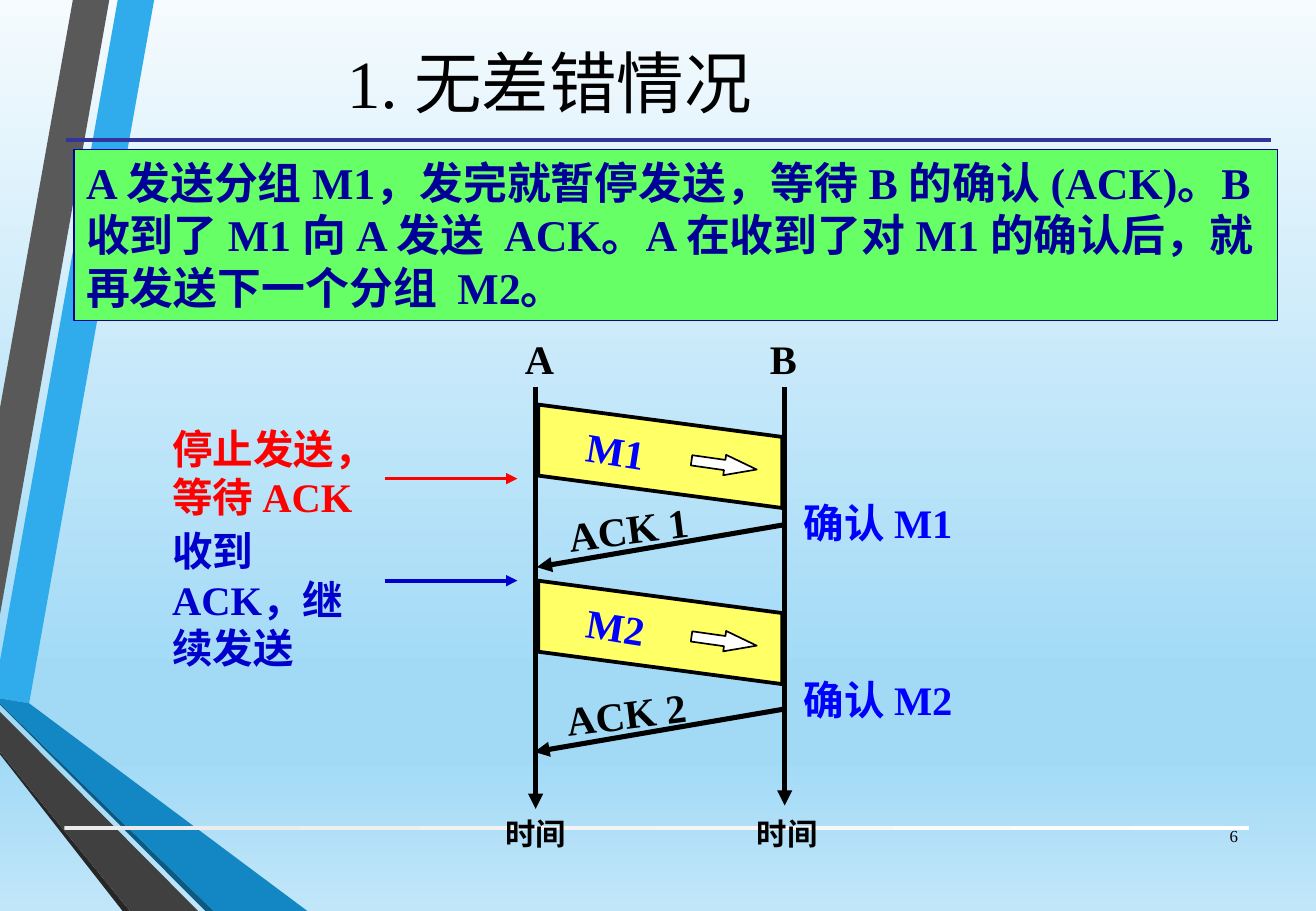
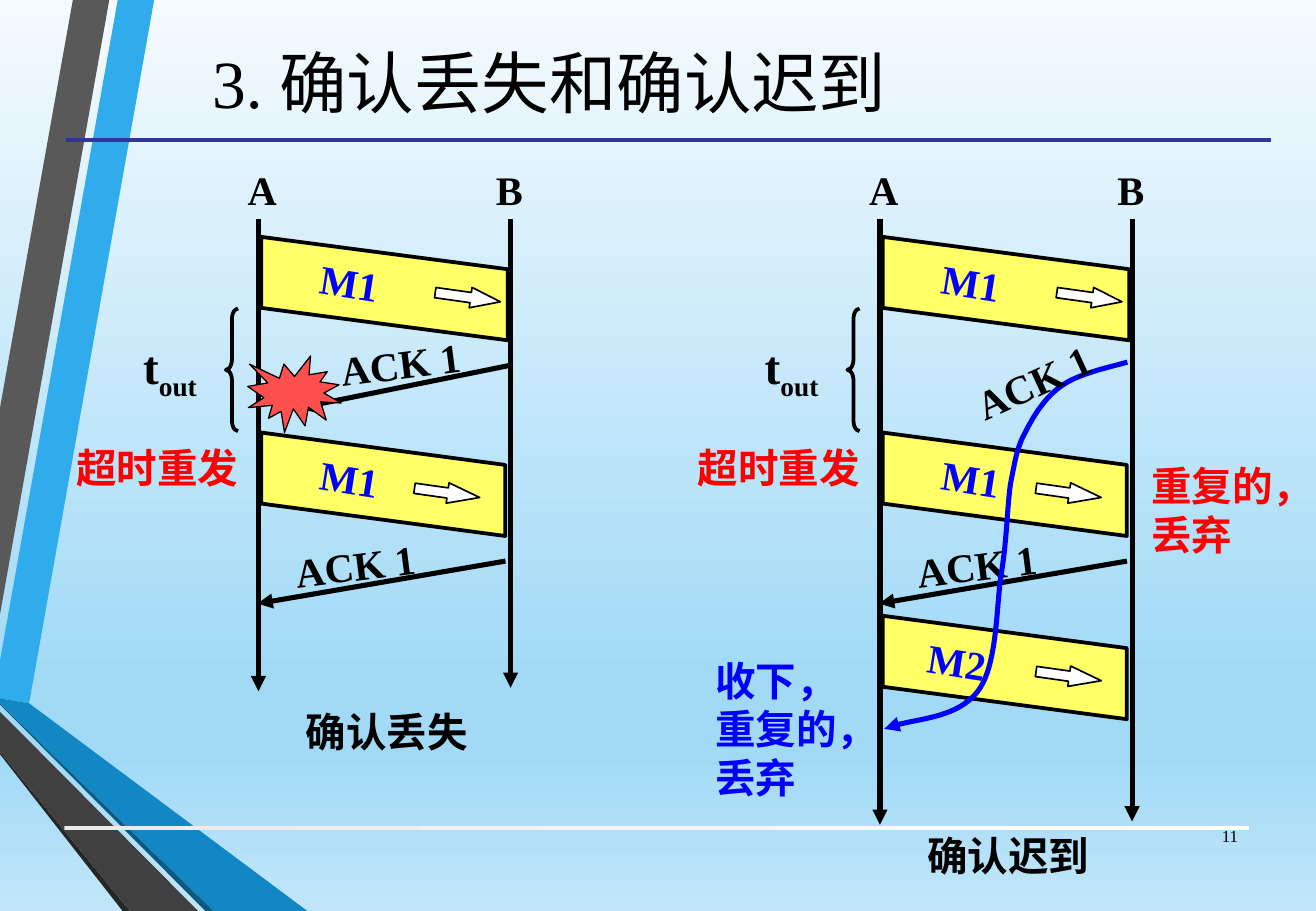
from lxml.etree import SubElement
from pptx import Presentation
from pptx.dml.color import RGBColor
from pptx.enum.shapes import MSO_CONNECTOR, MSO_SHAPE as Preset
from pptx.enum.text import MSO_ANCHOR as Anchor, MSO_AUTO_SIZE as AutoSize, PP_ALIGN as Align
from pptx.oxml.ns import qn
from pptx.util import Pt

FONT = "Times New Roman"
COLORS = {
    "black": "000000", "white": "FFFFFF", "blue": "0000FF", "mid blue": "0000CC",
    "navy": "000099", "rule": "333399", "red": "FF0000", "burst": "FF5050",
    "packet": "FFFF66", "note": "66FF66", "footer": "EBEBEB",
    "sky": "30ACEC", "gray": "595959", "dark": "262626",
    "deep": "0C5A82", "ocean": "1287C3", "slate": "404040",
}
BACKGROUND = [(0, "F5FBFE"), (74, "A2DAF6"), (83, "A2DAF6"), (100, "C1E6F9")]
RIBBONS = [
    ("sky", [(0, 391.7), (0, 414), (17.3, 416.9), (91.4, 0), (69.8, 0)]),
    ("gray", [(64.8, 0), (43.2, 0), (0, 241.9), (0, 364.3)]),
    ("dark", [(0, 445.7), (0, 447.1), (72.7, 540), (77, 540)]),
    ("deep", [(0, 416.9), (0, 417.6), (121.7, 540), (126.7, 540)]),
    ("ocean", [(0, 416.9), (126.7, 540), (182.2, 540), (17.3, 416.9), (0, 414)]),
    ("slate", [(0, 445.7), (77, 540), (117.4, 540), (0, 421.9)]),
]


def rgb(name):
    return RGBColor.from_string(COLORS[name])


def write(frame, text, *, size=24, color="black", bold=True, align=Align.LEFT,
          anchor=Anchor.TOP, subscript=""):
    """Fill a text frame, one paragraph a line."""
    frame.vertical_anchor = anchor
    for index, line in enumerate(text.split("\n")):
        paragraph = frame.add_paragraph() if index else frame.paragraphs[0]
        paragraph.alignment = align
        for part in filter(None, (line, subscript)):
            run = paragraph.add_run()
            run.text = part
            run.font.name, run.font.size, run.font.bold = FONT, Pt(size), bold
            run.font.color.rgb = rgb(color)
    if subscript:
        run._r.get_or_add_rPr().set("baseline", "-25000")


def set_gradient(fill, element, stops, angle):
    fill.gradient()
    fill.gradient_angle = angle
    stop_list = element.xpath(".//a:gsLst")[0]
    for stop in list(stop_list):
        stop_list.remove(stop)
    for position, color in stops:
        stop = SubElement(stop_list, qn("a:gs"), pos=str(position * 1000))
        SubElement(stop, qn("a:srgbClr"), val=color)


def add_head(shape):
    outline = shape.element.xpath(".//a:ln")[0]
    SubElement(outline, qn("a:tailEnd"), type="triangle")


class Deck:
    def __init__(self):
        self.presentation = Presentation()
        self.presentation.slide_width = Pt(780)
        self.presentation.slide_height = Pt(540)
        self.slide = None

    # Slide frame
    def add_slide(self, title, number):
        first = self.slide is None
        layout = self.presentation.slide_layouts[5]
        self.slide = self.presentation.slides.add_slide(layout)
        if first:
            self.dress_master()
        heading = self.slide.shapes.title
        heading.left, heading.top, heading.width, heading.height = map(Pt, (31, 3.6, 589, 89.3))
        write(heading.text_frame, title, size=40, bold=False,
              align=Align.CENTER, anchor=Anchor.MIDDLE)
        self.text(number, 704.2, 481, 36.7, 28.8, wrap=True, grow=False, size=10,
                  bold=False, align=Align.RIGHT, anchor=Anchor.MIDDLE)

    def dress_master(self):
        master = self.presentation.slide_master
        set_gradient(master.background.fill, master.element, BACKGROUND, 270)
        parts = [self.outline(points, fill=color) for color, points in RIBBONS]
        band = self.shape(Preset.RECTANGLE, 38.2, 489.6, 702, 2.2)
        set_gradient(band.fill, band.element,
                     [(0, COLORS["footer"]), (100, COLORS["white"])], 0)
        rule = self.line((38.9, 82.8), (753.1, 82.8), "rule", 2.25, head=False)
        for number, part in enumerate(parts + [band, rule], start=101):
            part.element.xpath(".//p:cNvPr")[0].set("id", str(number))
            master.element.cSld.spTree.append(part.element)

    # Elements
    def text(self, text, x, y, width, height=36, *, rotation=0, wrap=False, grow=True, **style):
        box = self.slide.shapes.add_textbox(Pt(x), Pt(y), Pt(width), Pt(height))
        box.rotation = rotation
        box.text_frame.word_wrap = wrap
        box.text_frame.auto_size = AutoSize.SHAPE_TO_FIT_TEXT if grow else AutoSize.NONE
        write(box.text_frame, text, **style)

    def paint(self, shape, fill, line, weight):
        shape.shadow.inherit = False
        if fill:
            shape.fill.solid()
            shape.fill.fore_color.rgb = rgb(fill)
        else:
            shape.fill.background()
        if line:
            shape.line.color.rgb = rgb(line)
            shape.line.width = Pt(weight)
        else:
            shape.line.fill.background()
        return shape

    def shape(self, preset, x, y, width, height, *, fill=None, line=None, weight=1,
              rotation=0, adjustments=()):
        shape = self.slide.shapes.add_shape(preset, Pt(x), Pt(y), Pt(width), Pt(height))
        shape.rotation = rotation
        for index, value in enumerate(adjustments):
            shape.adjustments[index] = value
        return self.paint(shape, fill, line, weight)

    def outline(self, points, *, fill=None, line=None, weight=1, close=True):
        start, *others = [(Pt(x), Pt(y)) for x, y in points]
        builder = self.slide.shapes.build_freeform(*start)
        builder.add_line_segments(others, close=close)
        return self.paint(builder.convert_to_shape(), fill, line, weight)

    def curve(self, points, color):
        """Draw cubic curves: a start, then three points for each segment."""
        shape = self.outline(points, line=color, weight=3, close=False)
        segments = shape.element.xpath(".//a:lnTo")
        contour = segments[0].getparent()
        for index in range(0, len(segments), 3):
            bend = SubElement(contour, qn("a:cubicBezTo"))
            for segment in segments[index:index + 3]:
                bend.append(segment[0])
                contour.remove(segment)
        add_head(shape)

    def line(self, start, end, color="black", weight=3, head=True):
        line = self.slide.shapes.add_connector(MSO_CONNECTOR.STRAIGHT, *map(Pt, start + end))
        line.line.color.rgb = rgb(color)
        line.line.width = Pt(weight)
        if head:
            add_head(line)
        SubElement(line.element.spPr, qn("a:effectLst"))
        return line

    # Parts of a sequence diagram
    def lanes(self, left, right, top, bottom):
        self.line((left, top), (left, bottom))
        self.line((right, top), (right, bottom - 2))
        self.text("A", left - 13.5, top - 35.5, 31.7)
        self.text("B", right - 15.8, top - 35.5, 30.2)

    def packet(self, name, x, y, *, width=144.7, name_x=28, arrow_x=90.7, ratio=1.57):
        self.outline([(x, y), (x + width, y + 19.2), (x + width, y + 61.3), (x, y + 42.1)],
                     fill="packet", line="black", weight=2.25)
        self.shape(Preset.RIGHT_ARROW, x + arrow_x, y + 29.7, 39, 12.2, fill="white",
                   line="black", rotation=8, adjustments=(0.5, ratio))
        self.text(name, x + name_x, y + 9.2, 49.7, rotation=9, color="blue")

    def ack(self, name, x, y, *, length=146.9, name_x=15, name_y=-15.8):
        self.line((x, y), (x - length, y + 25.2))
        self.text(name, x - length + name_x, y + name_y, 87.1, 36.7, rotation=352.8)

    def lossy_exchange(self, x, bottom, caption, caption_y):
        """First try, timeout and second try, with lane A at x."""
        self.lanes(x, x + 149.4, 129.6, bottom)
        self.packet("M1", x + 1.6, 140.4, width=146.2, arrow_x=103, ratio=1.46)
        self.packet("M1", x + 1.6, 256.4)
        self.text(caption, x + 20.9, caption_y, 112.3)
        self.ack("ACK 1", x + 146.4, 332.6)
        self.text("超时重发", x - 115, 259.2, 110.9, color="red")
        self.shape(Preset.LEFT_BRACE, x - 19.3, 182.9, 7.2, 72.7, line="black",
                   weight=2.25, adjustments=(0.87, 0.5))
        self.text("t", x - 75.4, 196.6, 50.4, 41, size=28, subscript="out")


def error_free(deck):
    deck.add_slide("1. 无差错情况", "6")
    note = deck.shape(Preset.RECTANGLE, 43.9, 88.6, 713.5, 101.5,
                      fill="note", line="navy", weight=0.75)
    note.text_frame.word_wrap = True
    write(note.text_frame,
          "A 发送分组 M1，发完就暂停发送，等待 B 的确认 (ACK)。B 收到了 M1 向 A 发送  ACK。"
          "A 在收到了对 M1 的确认后，就再发送下一个分组  M2。", size=26, color="navy")

    # Two exchanges
    for number, packet_y, ack_x, ack_y, reply_y in (
            (1, 239.8, 465.1, 311, 291.6), (2, 344.2, 463.7, 420.5, 396.7)):
        deck.packet(f"M{number}", 319, packet_y, name_x=21.6)
        deck.ack(f"ACK {number}", ack_x, ack_y, name_x=11.5)
        deck.text(f"确认 M{number}", 469.4, reply_y, 103.7, wrap=True, color="blue")

    # What A does
    for action, color, y, width, arrow_y in (
            ("停止发送，等待 ACK", "red", 247.7, 145.4, 283.7),
            ("收到 ACK，继续发送", "mid blue", 308.2, 139, 344.2)):
        deck.text(action, 95, y, width, 65.5, wrap=True, color=color)
        deck.line((228.2, arrow_y), (306.7, arrow_y), color, 2.25)

    # Time axes
    deck.lanes(317.5, 465.1, 229.7, 479.5)
    for x in (292.3, 441.4):
        deck.text("时间", x, 479.5, 51.1, 28.8, size=18)


def lost_and_late(deck):
    deck.add_slide("3. 确认丢失和确认迟到", "11")

    # Lost acknowledgement
    deck.lossy_exchange(153.2, 409.7, "确认丢失", 415.4)
    deck.ack("ACK 1", 301.7, 216.7, length=124.6, name_x=17.5, name_y=-19.4)
    deck.shape(Preset.EXPLOSION1, 146.9, 211, 55.4, 45.4,
               fill="burst", line="black", weight=0.75)

    # Late acknowledgement
    deck.lossy_exchange(521.6, 488.9, "确认迟到", 488.9)
    deck.packet("M2", 523.2, 365, name_x=19.6)
    deck.text("收下，\n重复的，\n丢弃", 416.9, 385.2, 118.1, 94.3, wrap=True, color="blue")
    deck.curve([(668.2, 214.6),
                (661.7, 216.7), (640.1, 221), (630, 228.2),
                (619.9, 234.7), (612.7, 246.2), (607.7, 256.3),
                (602.6, 265.7), (601.9, 272.2), (599, 286.6),
                (596.9, 301), (596.9, 320.4), (593.3, 341.3),
                (590.4, 361.4), (591.1, 394.6), (579.6, 409.7),
                (568.1, 424.8), (535.7, 427), (524.2, 432)], "blue")
    deck.text("ACK 1", 569.5, 208.1, 87.1, rotation=335.3)
    deck.text("重复的，\n丢弃", 675.4, 270, 114.5, 65.5, wrap=True, color="red")


def main():
    deck = Deck()
    error_free(deck)
    lost_and_late(deck)
    deck.presentation.save("out.pptx")


if __name__ == "__main__":
    main()
